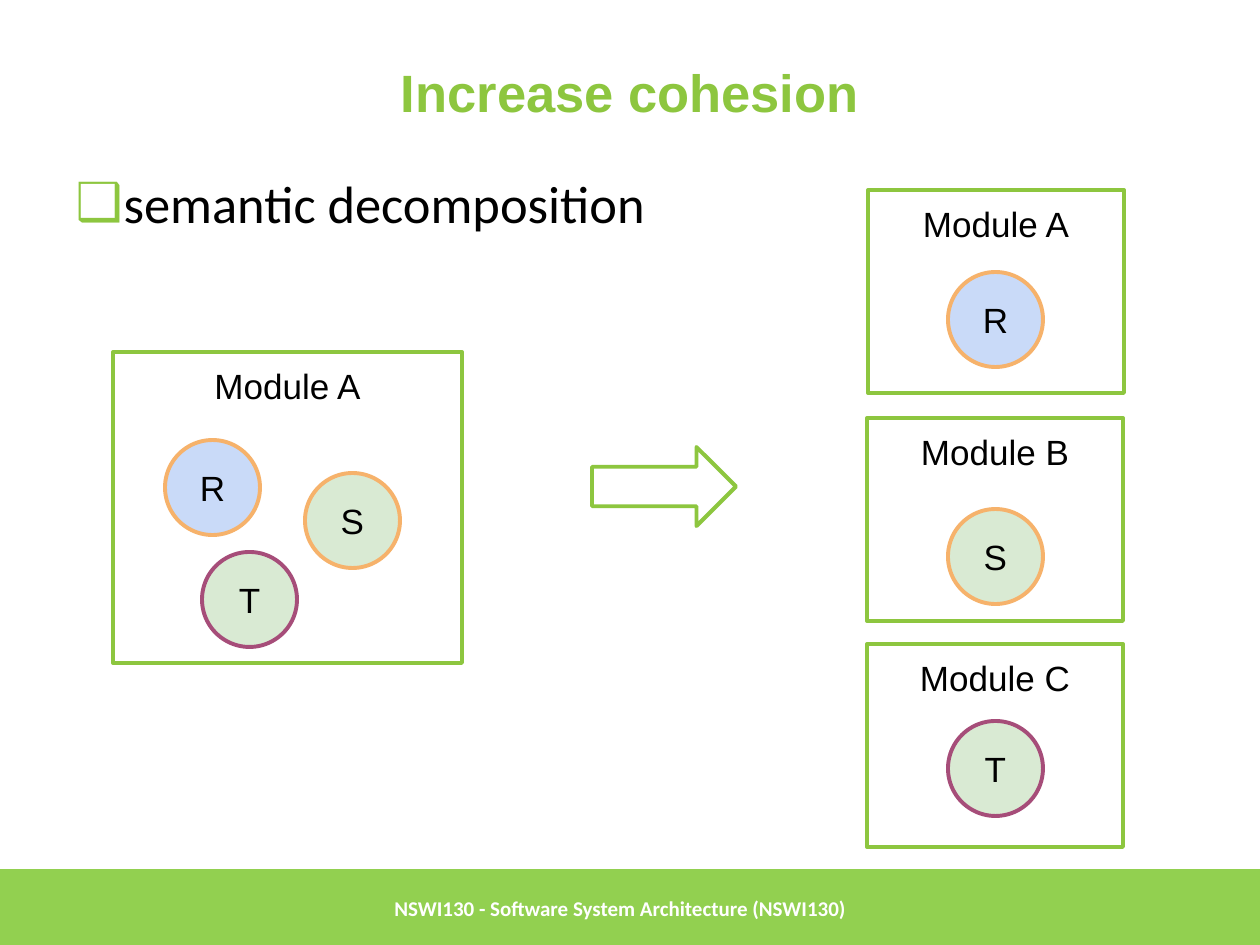
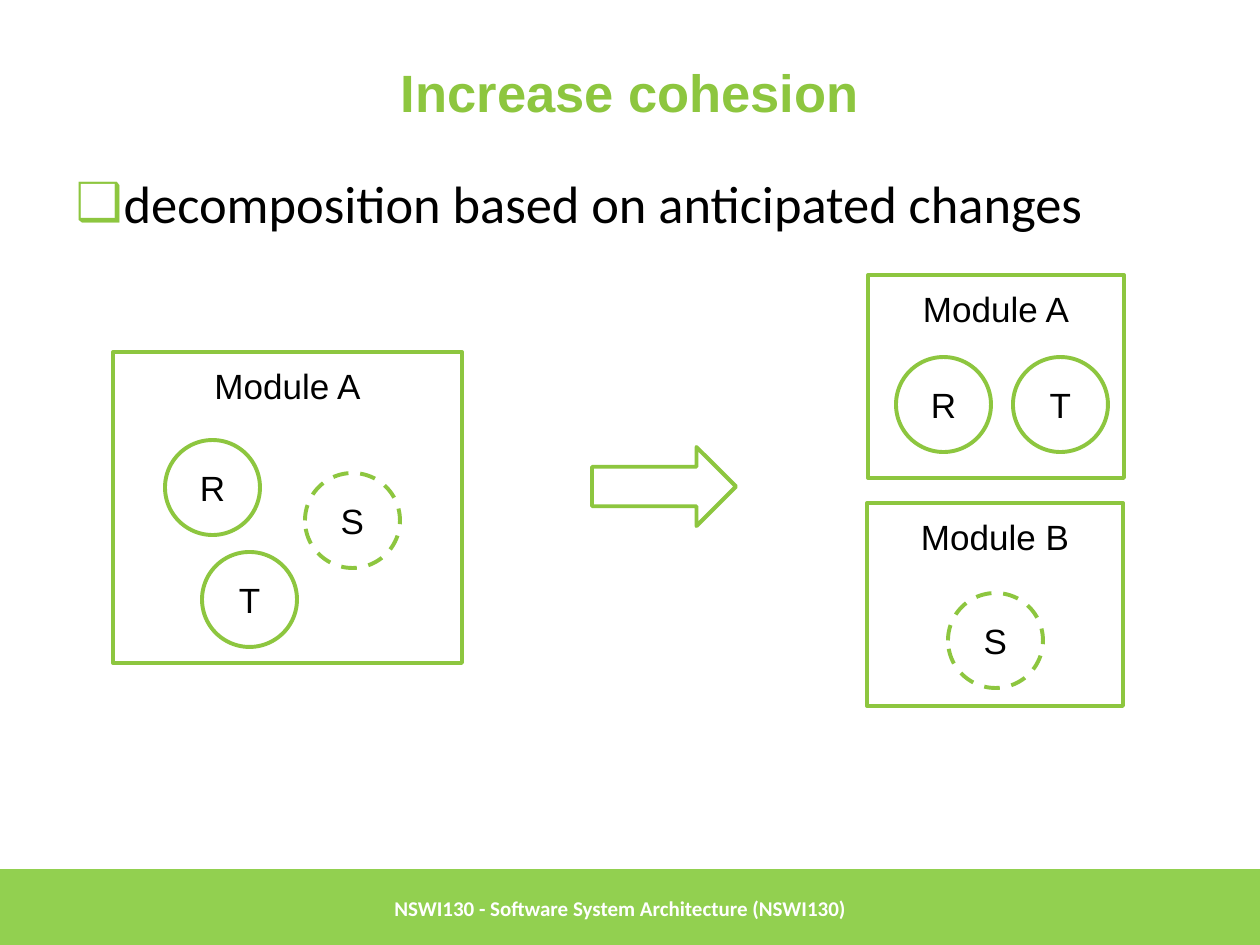
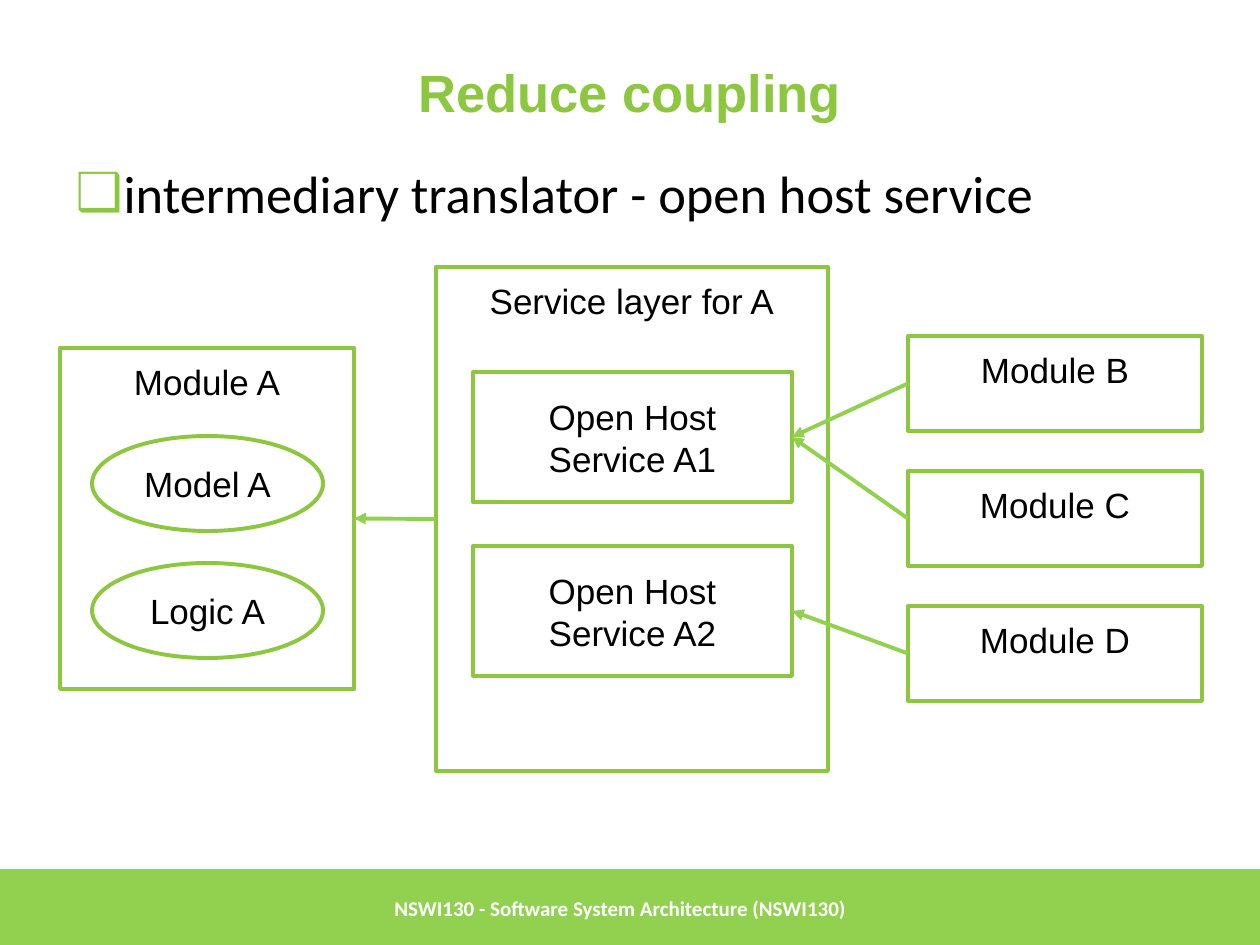
from dataclasses import dataclass

from lxml.etree import SubElement
from pptx import Presentation
from pptx.dml.color import RGBColor
from pptx.enum.dml import MSO_LINE
from pptx.enum.shapes import MSO_CONNECTOR, MSO_SHAPE
from pptx.enum.text import MSO_ANCHOR, MSO_AUTO_SIZE, PP_ALIGN
from pptx.oxml.ns import qn
from pptx.util import Inches, Pt

PX = 7257  # EMU in one px, 126 px to the inch


@dataclass(frozen=True)
class Theme:
    green: str = "8DC63F"
    band: str = "92D050"
    orange: str = "F6B26B"
    plum: str = "A64D79"
    blue_fill: str = "C9DAF8"
    green_fill: str = "D9EAD3"
    black: str = "000000"
    white: str = "FFFFFF"
    head_font: str = "Arial"
    body_font: str = "Calibri"
    head_size: int = 30
    label_size: int = 20
    footer_size: int = 12
    line_width: float = 2.25


T = Theme()
RECT, OVAL, ARROW = MSO_SHAPE.RECTANGLE, MSO_SHAPE.OVAL, MSO_SHAPE.RIGHT_ARROW
FOOTER = "NSWI130 - Software System Architecture (NSWI130)"
FOOTER_TOP, FOOTER_HEIGHT = 869, 79
CIRCLE = 95


def add_run(p, text, size, font, color, bold=False):
    r = p.add_run()
    r.text = text
    r.font.size, r.font.name, r.font.bold = Pt(size), font, bold
    r.font.color.rgb = RGBColor.from_string(color)


def add_box(s, kind, rect, label="", line=T.green, fill=None, dash=False, anchor=MSO_ANCHOR.TOP):
    """Add an outlined shape with a centred label; rect is left, top, width, height in px."""
    sp = s.shapes.add_shape(kind, *(v * PX for v in rect))
    sp.shadow.inherit = False
    if fill:
        sp.fill.solid()
        sp.fill.fore_color.rgb = RGBColor.from_string(fill)
    else:
        sp.fill.background()
    if line:
        sp.line.color.rgb = RGBColor.from_string(line)
        sp.line.width = Pt(T.line_width)
        if dash:
            sp.line.dash_style = MSO_LINE.DASH
    else:
        sp.line.fill.background()
    if label:
        tf = sp.text_frame
        tf.word_wrap, tf.vertical_anchor = True, anchor
        tf.margin_left = tf.margin_top = tf.margin_right = tf.margin_bottom = Inches(0.1)
        p = tf.paragraphs[0]
        p.alignment = PP_ALIGN.CENTER
        add_run(p, label, T.label_size, T.head_font, T.black)
    return sp


prs = Presentation()
prs.slide_width, prs.slide_height = Inches(10), Inches(7.5)
layout = prs.slide_layouts[1]

# Title, bullet, footer: heading, bullet text, body height in px, line spacing, space before
pages = [
    ("Increase cohesion", "semantic decomposition", 107, 1.15, 0),
    ("Increase cohesion", "decomposition based on anticipated changes", 107, 1.15, 0),
    ("Reduce coupling", "intermediary translator - open host service", 130, 1.0, 5.6),
]
for title, bullet, body_height, line_spacing, space_before in pages:
    s = prs.slides.add_slide(layout)
    heading, body = s.placeholders
    footer = s.shapes.add_textbox(382 * PX, FOOTER_TOP * PX, 759 * PX, FOOTER_HEIGHT * PX)

    for sp, top, height in ((heading, 38, 107), (body, 155, body_height)):
        sp.left, sp.top, sp.width, sp.height = (v * PX for v in (63, top, 1134, height))
    for sp, anchor in ((heading, MSO_ANCHOR.MIDDLE), (body, MSO_ANCHOR.TOP), (footer, MSO_ANCHOR.MIDDLE)):
        tf = sp.text_frame
        tf.word_wrap, tf.auto_size, tf.vertical_anchor = True, MSO_AUTO_SIZE.NONE, anchor

    p = heading.text_frame.paragraphs[0]
    p.alignment = PP_ALIGN.CENTER
    add_run(p, title, T.head_size, T.head_font, T.green, bold=True)

    p = body.text_frame.paragraphs[0]
    p.line_spacing, p.space_before = line_spacing, Pt(space_before)
    add_run(p, bullet, T.head_size, T.body_font, T.black)
    pPr = p._p.get_or_add_pPr()
    pPr.set("marL", str(48 * PX))
    pPr.set("indent", str(-48 * PX))
    SubElement(SubElement(pPr, qn("a:buClr")), qn("a:srgbClr")).set("val", T.green)
    SubElement(pPr, qn("a:buChar")).set("char", "❑")

    add_run(footer.text_frame.paragraphs[0], FOOTER, T.footer_size, T.body_font, T.white, bold=True)

semantic, changes, coupling = prs.slides

# The footer band belongs to the layout that all slides share
band = add_box(semantic, RECT, (0, FOOTER_TOP, 1260, FOOTER_HEIGHT), line=None, fill=T.band)
layout.shapes.element.insert(2, band.element)

# Increase cohesion: one module is split into several
semantic_styles = {
    "R": dict(line=T.orange, fill=T.blue_fill),
    "S": dict(line=T.orange, fill=T.green_fill),
    "T": dict(line=T.plum, fill=T.green_fill),
}
change_styles = {"R": {}, "S": dict(dash=True), "T": {}}
before = [("R", 165, 440), ("S", 305, 473), ("T", 202, 552)]
splits = [
    (semantic, semantic_styles,
     [("Module A", 868, 190), ("Module B", 867, 418), ("Module C", 867, 644)],
     [("R", 948, 272), ("S", 948, 509), ("T", 948, 721)]),
    (changes, change_styles,
     [("Module A", 868, 275), ("Module B", 867, 503)],
     [("R", 896, 357), ("T", 1013, 357), ("S", 948, 593)]),
]
for s, styles, modules, after in splits:
    add_box(s, RECT, (113, 352, 349, 311), "Module A")
    add_box(s, ARROW, (592, 447, 144, 79))
    for name, left, top in modules:
        add_box(s, RECT, (left, top, 256, 203), name)
    for name, left, top in before + after:
        add_box(s, OVAL, (left, top, CIRCLE, CIRCLE), name, **styles[name])

# Reduce coupling: modules reach module A through a service layer
module_a = add_box(coupling, RECT, (60, 348, 294, 341), "Module A")
for i, name in enumerate(("Model A", "Logic A")):
    add_box(coupling, OVAL, (92, 436 + 127 * i, 231, 95), name)
service_layer = add_box(coupling, RECT, (436, 267, 392, 504), "Service layer for A")
host_1, host_2 = [
    add_box(coupling, RECT, (473, 372 + 174 * i, 319, 130), f"Open Host Service A{i + 1}", anchor=MSO_ANCHOR.MIDDLE)
    for i in range(2)
]
module_b, module_c, module_d = [
    add_box(coupling, RECT, (908, 336 + 135 * i, 294, 95), f"Module {letter}")
    for i, letter in enumerate("BCD")
]

LEFT_SIDE, RIGHT_SIDE = 1, 3
calls = [(module_b, host_1), (module_c, host_1), (module_d, host_2), (service_layer, module_a)]
for caller, target in calls:
    link = coupling.shapes.add_connector(MSO_CONNECTOR.STRAIGHT, 0, 0, 0, 0)
    link.begin_connect(caller, LEFT_SIDE)
    link.end_connect(target, RIGHT_SIDE)
    link.line.color.rgb = RGBColor.from_string(T.band)
    link.line.width = Pt(T.line_width)
    spPr = link.element.spPr
    SubElement(spPr.find(qn("a:ln")), qn("a:tailEnd")).set("type", "triangle")
    SubElement(spPr, qn("a:effectLst"))

prs.save("out.pptx")
